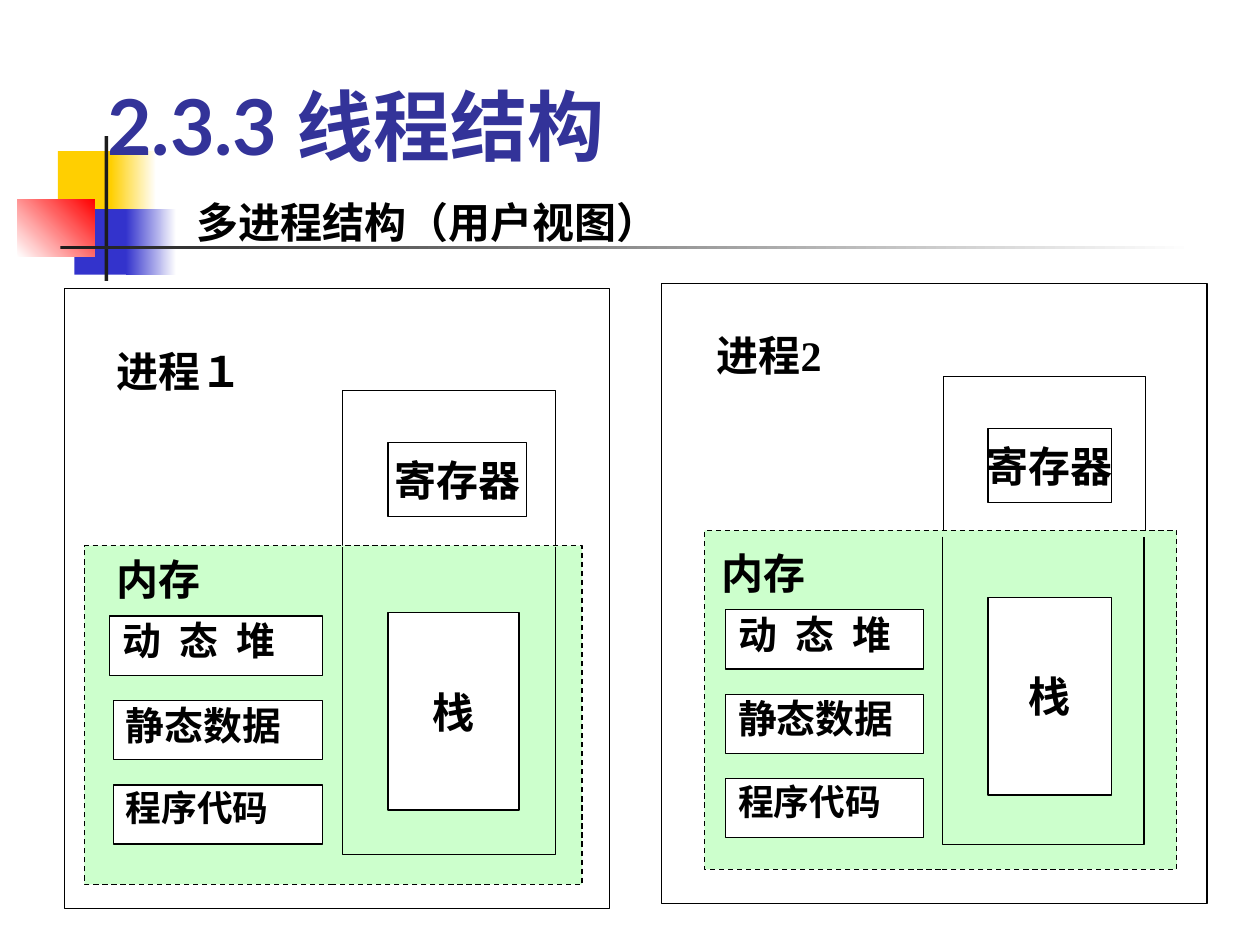
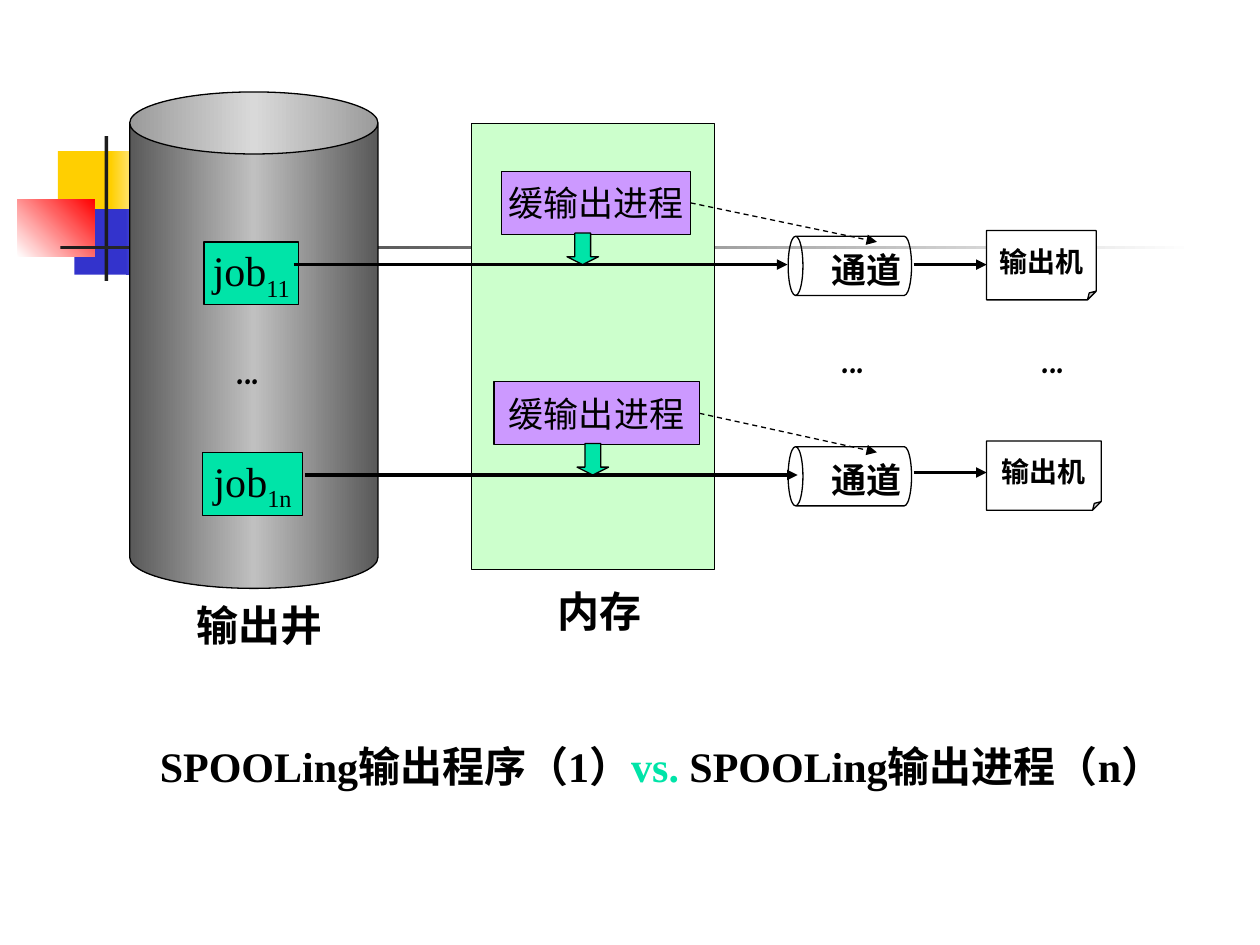
from copy import deepcopy

from pptx import Presentation
from pptx.dml.color import RGBColor
from pptx.enum.dml import MSO_LINE
from pptx.enum.shapes import MSO_CONNECTOR, MSO_SHAPE as SHAPE
from pptx.enum.text import MSO_ANCHOR as ANCHOR, MSO_AUTO_SIZE as AUTO, PP_ALIGN as ALIGN
from pptx.oxml.ns import qn
from pptx.util import Inches, Pt

BLACK, WHITE, INK = "000000", "FFFFFF", "1C1C1C"
YELLOW, BLUE, RED, TITLE = "FFCF01", "3333CC", "FF0000", "333399"
MINT, GREEN, VIOLET = "CCFFCC", "00E4A8", "CC99FF"
STEEL = ["595959", "C0C0C0", "595959"]
SERIF, SANS, COMIC = "Times New Roman", "Lato", "Comic Neue"

# Master decoration: position, fill (a list is a gradient), gradient angle
DECORATION = [
    ((0.46, 1.2, 0.48, 0.52), YELLOW, 0),
    ((0.88, 1.2, 0.36, 0.52), [YELLOW, WHITE], 0),
    ((0.59, 1.66, 0.46, 0.52), BLUE, 0),
    ((1, 1.66, 0.4, 0.52), [BLUE, WHITE], 0),
    ((0.14, 1.58, 0.61, 0.46), [WHITE, RED], 45),
    ((0.83, 1.08, 0.03, 1.15), INK, 0),
    ((0.48, 1.95, 9, 0.03), [INK, WHITE], 0),
]

# Memory segments: text, size, letter spacing in points
SEGMENTS = [("动 态 堆", 22.2, 2.8), ("静态数据", 22.2, 0), ("程序代码", 20.4, 0)]
SEGMENT_STEP, SEGMENT_HEIGHT = 0.67, 0.47
PROCESSES = [
    dict(
        name="进程2", name_at=(5.59, 2.57, 1.08, 0.9),
        frame=(5.25, 2.25, 4.33, 4.92), thread=(7.49, 2.99, 1.6, 3.75),
        memory=(5.59, 4.21, 3.75, 2.69), memory_name=(5.63, 4.3, 1.02, 0.5),
        thread_edge=(7.48, 4.26, 1.6, 2.44),
        stack=(7.84, 4.74, 0.98, 1.57), registers=(7.84, 3.4, 0.98, 0.59),
        segments_top=4.84, segments_left=[5.76, 5.76, 5.76], segments_right=7.33,
    ),
    dict(
        name="进程１", name_at=(0.83, 2.69, 1.22, 0.5),
        frame=(0.51, 2.29, 4.33, 4.92), thread=(2.72, 3.1, 1.69, 3.75),
        memory=(0.67, 4.33, 3.95, 2.69), memory_name=(0.83, 4.34, 1.02, 0.5),
        thread_edge=(2.72, 4.34, 1.69, 2.44),
        stack=(3.08, 4.86, 1.04, 1.57), registers=(3.08, 3.51, 1.1, 0.59),
        segments_top=4.89, segments_left=[0.87, 0.9, 0.9], segments_right=2.56,
    ),
]

# Spooling rows: y is the height of the data flow; pairs are (left, width) or (from, to)
ROWS = [
    dict(y=2.1, job="11", job_x=(1.62, 0.75), process_x=(3.98, 1.5), down_x=4.5,
         flow_x=(2.33, 6.25), printer_y=2.1, printer_width=0.87),
    dict(y=3.77, job="1n", job_x=(1.61, 0.79), process_x=(3.92, 1.63), down_x=4.58,
         flow_x=(2.42, 6.33), printer_y=3.75, printer_width=0.91),
]
DOTS = [(1.78, 2.67), (6.58, 2.58), (8.17, 2.58)]
CAPTIONS = [("输出井", (1.46, 4.71, 1.33, 0.5)), ("内存", (4.33, 4.6, 1, 0.5))]
CONCLUSION = [("SPOOLing输出程序（1）", BLACK), ("vs.", GREEN), (" SPOOLing输出进程（n）", BLACK)]


def rgb(color):
    return RGBColor.from_string(color)


def box(at):
    return [Inches(v) for v in at]


def set_font(p, size, font=SERIF, color=BLACK, bold=True):
    f = p.font
    f.size, f.name, f.bold = Pt(size), font, bold
    f.color.rgb = rgb(color)


def fill_gradient(sp, colors, angle):
    sp.fill.gradient()
    sp.fill.gradient_angle = angle
    stop_list = next(sp.element.iter(qn("a:gsLst")))
    while len(stop_list) < len(colors):
        stop_list.append(deepcopy(stop_list[-1]))
    for i, (stop, color) in enumerate(zip(sp.fill.gradient_stops, colors)):
        stop.position = i / (len(colors) - 1)
        stop.color.rgb = rgb(color)


def style(sp, fill=None, line=BLACK, dash=False, angle=0):
    sp.shadow.inherit = False
    if fill is None:
        sp.fill.background()
    elif isinstance(fill, list):
        fill_gradient(sp, fill, angle)
    else:
        sp.fill.solid()
        sp.fill.fore_color.rgb = rgb(fill)
    if line is None:
        sp.line.fill.background()
    else:
        sp.line.color.rgb = rgb(line)
        sp.line.width = Pt(0.75)
    if dash:
        sp.line.dash_style = MSO_LINE.DASH
    return sp


def add_shape(slide, at, fill=WHITE, kind=SHAPE.RECTANGLE, **look):
    return style(slide.shapes.add_shape(kind, *box(at)), fill, **look)


def set_guides(sp, **guides):
    """Set named shape adjustments, also those python-pptx does not list."""
    av_list = next(sp.element.iter(qn("a:avLst")))
    for gd in list(av_list):
        av_list.remove(gd)
    for name, value in guides.items():
        gd = av_list.makeelement(qn("a:gd"), {"name": name, "fmla": f"val {value}"})
        av_list.append(gd)


def write_centred(sp, text, size, bold=True):
    tf = sp.text_frame
    tf.word_wrap = False
    tf.vertical_anchor = ANCHOR.MIDDLE
    p = tf.paragraphs[0]
    p.text = text
    p.alignment = ALIGN.CENTER
    set_font(p, size, bold=bold)
    return p


def add_text(slide, text, at, size=24, font=SERIF):
    tf = slide.shapes.add_textbox(*box(at)).text_frame
    tf.word_wrap = True
    tf.auto_size = AUTO.SHAPE_TO_FIT_TEXT
    p = tf.paragraphs[0]
    p.text = text
    set_font(p, size, font)
    return p


def add_arrow(slide, start, end, width=2, dash=False):
    c = slide.shapes.add_connector(MSO_CONNECTOR.STRAIGHT, *box(start + end))
    c.line.color.rgb = rgb(BLACK)
    c.line.width = Pt(width)
    if dash:
        c.line.dash_style = MSO_LINE.DASH
    sp_pr = c.element.spPr
    head = sp_pr.makeelement(qn("a:tailEnd"), {"type": "triangle"})
    sp_pr.find(qn("a:ln")).append(head)
    sp_pr.append(sp_pr.makeelement(qn("a:effectLst"), {}))
    return c


def decorate_master(prs, slide):
    """Draw the decoration on a slide, then move it behind the master's placeholders."""
    tree = prs.slide_master.element.cSld.spTree
    for i, (at, fill, angle) in enumerate(DECORATION):
        sp = add_shape(slide, at, fill, line=None, angle=angle)
        sp.element.nvSpPr.cNvPr.set("id", str(100 + i))
        tree.insert(2 + i, sp.element)


def add_segment(slide, at, text, size, spacing):
    tf = add_shape(slide, at).text_frame
    tf.word_wrap = True
    tf.vertical_anchor = ANCHOR.TOP
    p = tf.paragraphs[0]
    p.text = text
    p.alignment = ALIGN.LEFT
    p.line_spacing = 0.9
    set_font(p, size)
    if spacing:
        p.runs[0]._r.get_or_add_rPr().set("spc", str(round(spacing * 100)))


def add_open_box(slide, at):
    """Outline of a box without its top side."""
    x, y, w, h = box(at)
    outline = slide.shapes.build_freeform(x, y)
    outline.add_line_segments([(x, y + h), (x + w, y + h), (x + w, y)], close=False)
    style(outline.convert_to_shape())


def draw_process(slide, d):
    add_shape(slide, d["frame"])
    add_shape(slide, d["thread"])
    add_shape(slide, d["memory"], MINT, dash=True)
    for i, (left, segment) in enumerate(zip(d["segments_left"], SEGMENTS)):
        top = d["segments_top"] + i * SEGMENT_STEP
        add_segment(slide, (left, top, d["segments_right"] - left, SEGMENT_HEIGHT), *segment)
    write_centred(add_shape(slide, d["stack"]), "栈", 24)
    write_centred(add_shape(slide, d["registers"]), "寄存器", 24)
    add_text(slide, d["name"], d["name_at"])
    add_open_box(slide, d["thread_edge"])
    add_text(slide, "内存", d["memory_name"], font=SANS)


def draw_row(slide, d):
    y = d["y"]
    left, width = d["job_x"]
    job = add_shape(slide, (left, y - 0.18, width, 0.5), GREEN)
    p = write_centred(job, "job", 24, bold=False)
    r = p.add_run()
    r.text = d["job"]
    r._r.get_or_add_rPr().set("baseline", "-25000")

    left, width = d["process_x"]
    process = add_shape(slide, (left, y - 0.74, width, 0.5), VIOLET)
    write_centred(process, "缓输出进程", 20, bold=False)

    channel = add_shape(slide, (6.51, y - 0.48, 0.47, 0.98), None, SHAPE.CAN)
    channel.rotation = 270
    add_text(slide, "通道", (6.5, y - 0.18, 0.92, 0.44), 20)

    printer = add_shape(slide, (7.83, y - 0.27, d["printer_width"], 0.55),
                        kind=SHAPE.FOLDED_CORNER)
    set_guides(printer, adj=12500)
    write_centred(printer, "输出机", 16)

    start, end = d["flow_x"]
    add_arrow(slide, (start, y), (end, y))
    add_arrow(slide, (7.25, d["printer_y"]), (7.83, d["printer_y"]))
    down = add_shape(slide, (d["down_x"], y - 0.25, 0.25, 0.25), GREEN, SHAPE.DOWN_ARROW)
    set_guides(down, adj1=50000, adj2=25000)
    control = add_arrow(slide, (left + width, y - 0.49), (6.96, y - 0.18), 0.75, dash=True)
    control.begin_connect(process, 3)


def build_process_slide(slide):
    title = slide.shapes.title
    title.left, title.top, title.width, title.height = box((0.75, 0.33, 8.5, 1.08))
    tf = title.text_frame
    tf.text = "2.3.3 线程结构"
    tf.auto_size = AUTO.NONE
    tf.vertical_anchor = ANCHOR.BOTTOM
    p = tf.paragraphs[0]
    p.alignment = ALIGN.LEFT
    set_font(p, 44, SANS, TITLE)
    add_text(slide, "多进程结构（用户视图）", (1.46, 1.51, 4.17, 0.5))
    for process in PROCESSES:
        draw_process(slide, process)


def build_spooling_slide(slide):
    add_shape(slide, (1.03, 0.73, 1.97, 3.94), STEEL, SHAPE.CAN)
    add_shape(slide, (3.74, 0.98, 1.93, 3.54), MINT)
    for row in ROWS:
        draw_row(slide, row)
    for left, top in DOTS:
        add_text(slide, "...", (left, top, 0.5, 0.5), font=COMIC)
    for text, at in CAPTIONS:
        add_text(slide, text, at)
    p = add_text(slide, "", (1.17, 5.83, 8.52, 0.9))
    for text, color in CONCLUSION:
        r = p.add_run()
        r.text = text
        r.font.color.rgb = rgb(color)


def main():
    prs = Presentation()
    prs.slide_width, prs.slide_height = Inches(10), Inches(7.5)
    title_only, blank = prs.slide_layouts[5], prs.slide_layouts[6]
    process_slide = prs.slides.add_slide(title_only)
    decorate_master(prs, process_slide)
    build_process_slide(process_slide)
    build_spooling_slide(prs.slides.add_slide(blank))
    prs.save("out.pptx")


if __name__ == "__main__":
    main()
